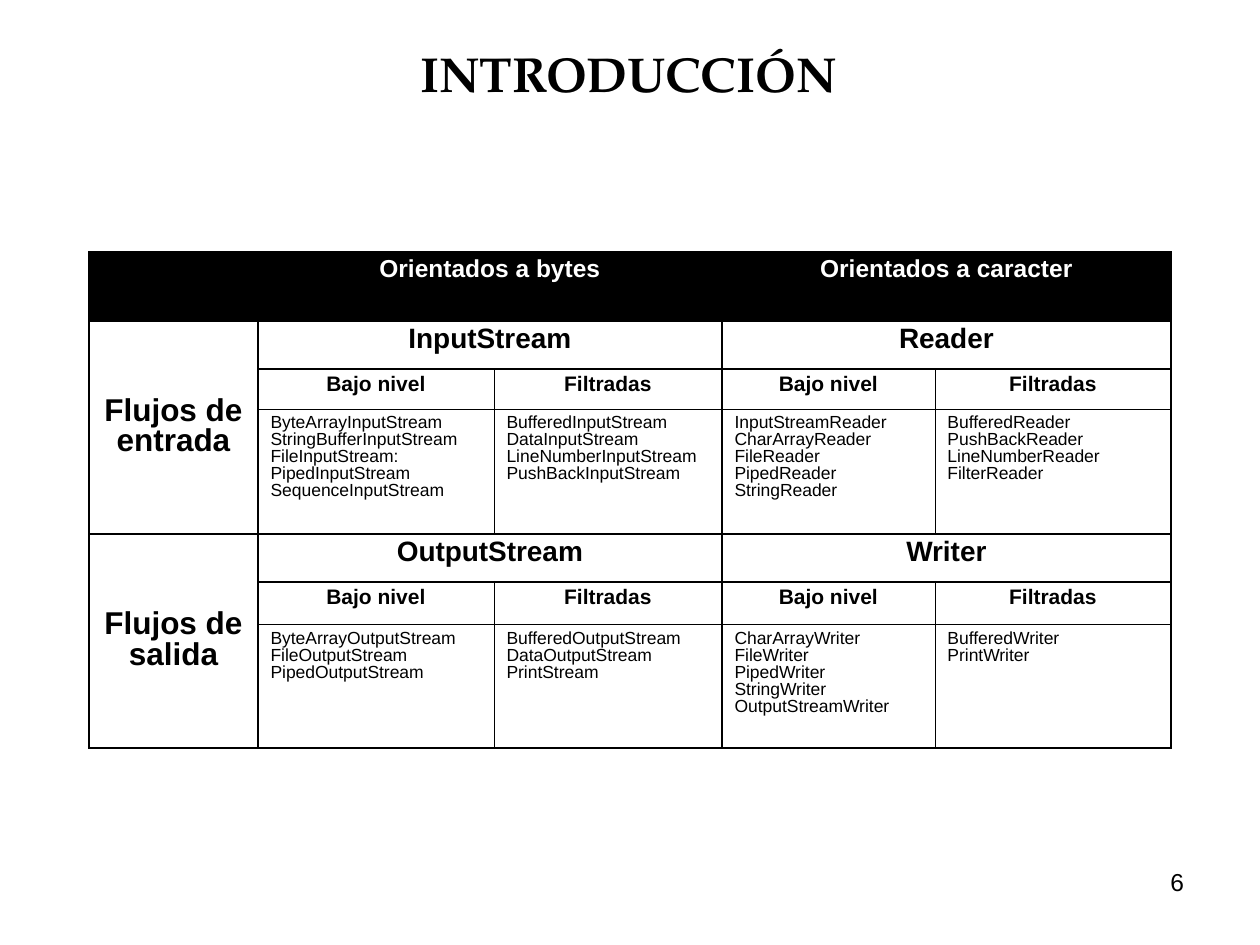
from itertools import pairwise

from lxml import etree
from pptx import Presentation
from pptx.dml.color import RGBColor
from pptx.enum.text import MSO_ANCHOR, PP_ALIGN
from pptx.oxml.ns import qn
from pptx.util import Pt

PX = 914400 // 126
LEFT, MID, RIGHT = PP_ALIGN.LEFT, PP_ALIGN.CENTER, PP_ALIGN.RIGHT
TOP, CENTER = MSO_ANCHOR.TOP, MSO_ANCHOR.MIDDLE
BLACK, WHITE = "000000", "FFFFFF"

# Grid edges in px, and the inner edges drawn thin
COLS = [89, 258, 494, 722, 935, 1171]
ROWS = [252, 321, 369, 409, 534, 582, 625, 748]
THIN_COLS, THIN_ROWS = (2, 4), (3, 6)

HEADS = ["Orientados a bytes", "Orientados a caracter"]
KINDS = ["Bajo nivel", "Filtradas"] * 2
FLOWS = [
    ("Flujos de entrada", ["InputStream", "Reader"], [
        ["ByteArrayInputStream", "StringBufferInputStream",
         "FileInputStream:", "PipedInputStream", "SequenceInputStream"],
        ["BufferedInputStream", "DataInputStream",
         "LineNumberInputStream", "PushBackInputStream"],
        ["InputStreamReader", "CharArrayReader", "FileReader",
         "PipedReader", "StringReader"],
        ["BufferedReader", "PushBackReader", "LineNumberReader",
         "FilterReader"],
    ]),
    ("Flujos de salida", ["OutputStream", "Writer"], [
        ["ByteArrayOutputStream", "FileOutputStream", "PipedOutputStream"],
        ["BufferedOutputStream", "DataOutputStream", "PrintStream"],
        ["CharArrayWriter", "FileWriter", "PipedWriter", "StringWriter",
         "OutputStreamWriter"],
        ["BufferedWriter", "PrintWriter"],
    ]),
]


def color(code):
    return RGBColor.from_string(code)


def write(frame, lines, size, align=MID, bold=True, tint=BLACK,
          face="Arial", space=None):
    frame.text = "\n".join(lines)
    for para in frame.paragraphs:
        para.alignment = align
        para.line_spacing = space
        font = para.font
        font.name, font.size, font.bold = face, Pt(size), bold
        font.color.rgb = color(tint)


def add_text(slide, box, text, size, pad=(0, 0), anchor=TOP, **style):
    frame = slide.shapes.add_textbox(*(n * PX for n in box)).text_frame
    frame.word_wrap = True
    frame.vertical_anchor = anchor
    frame.margin_left = frame.margin_right = pad[0] * PX
    frame.margin_top = frame.margin_bottom = pad[1] * PX
    write(frame, [text], size, **style)


def fill_cell(table, row, col, lines, size, span=(1, 1), anchor=TOP,
              back=None, **style):
    cell = table.cell(row, col)
    if span != (1, 1):
        cell.merge(table.cell(row + span[0] - 1, col + span[1] - 1))
    cell.vertical_anchor = anchor
    write(cell.text_frame, lines, size, space=0.87, **style)
    if back:
        cell.fill.solid()
        cell.fill.fore_color.rgb = color(back)
    else:
        cell.fill.background()
    # Borders: thin only on the edges that split a pair
    sides = [("a:lnL", col in THIN_COLS),
             ("a:lnR", col + span[1] in THIN_COLS),
             ("a:lnT", row in THIN_ROWS),
             ("a:lnB", row + span[0] in THIN_ROWS)]
    props = cell._tc.get_or_add_tcPr()
    for spot, (tag, thin) in enumerate(sides):
        line = etree.Element(qn(tag), w=str(Pt(0.45 if thin else 1.08)))
        solid = etree.SubElement(line, qn("a:solidFill"))
        etree.SubElement(solid, qn("a:srgbClr"), val=BLACK)
        props.insert(spot, line)


def add_grid(slide):
    box = (COLS[0], ROWS[0], COLS[-1] - COLS[0], ROWS[-1] - ROWS[0])
    table = slide.shapes.add_table(
        len(ROWS) - 1, len(COLS) - 1, *(n * PX for n in box)).table
    table.first_row = table.horz_banding = False
    for col, (start, end) in zip(table.columns, pairwise(COLS)):
        col.width = (end - start) * PX
    for row, (start, end) in zip(table.rows, pairwise(ROWS)):
        row.height = (end - start) * PX
    return table


def add_flow(table, top, name, bases, lists):
    fill_cell(table, top, 0, [name], 18, span=(3, 1), anchor=CENTER)
    for i, base in enumerate(bases):
        fill_cell(table, top, 1 + 2 * i, [base], 16, span=(1, 2))
    for col, (kind, names) in enumerate(zip(KINDS, lists), 1):
        fill_cell(table, top + 1, col, [kind], 12)
        fill_cell(table, top + 2, col, names, 10, align=LEFT, bold=False)


def main():
    deck = Presentation()
    deck.slide_width, deck.slide_height = 1260 * PX, 945 * PX
    slide = deck.slides.add_slide(deck.slide_layouts[6])

    # Page number and title
    add_text(slide, (903, 861, 294, 66), "6", 14, pad=(13, 6),
             align=RIGHT, bold=False)
    add_text(slide, (34, 37, 1189, 72), "INTRODUCCIÓN", 28,
             anchor=CENTER, face="TeX Gyre Pagella")

    # Table: header row, then one block of three rows per flow
    table = add_grid(slide)
    fill_cell(table, 0, 0, [""], 14, back=BLACK)
    for i, head in enumerate(HEADS):
        fill_cell(table, 0, 1 + 2 * i, [head], 14, span=(1, 2),
                  back=BLACK, tint=WHITE)
    for i, flow in enumerate(FLOWS):
        add_flow(table, 1 + 3 * i, *flow)

    deck.save("out.pptx")


if __name__ == "__main__":
    main()
